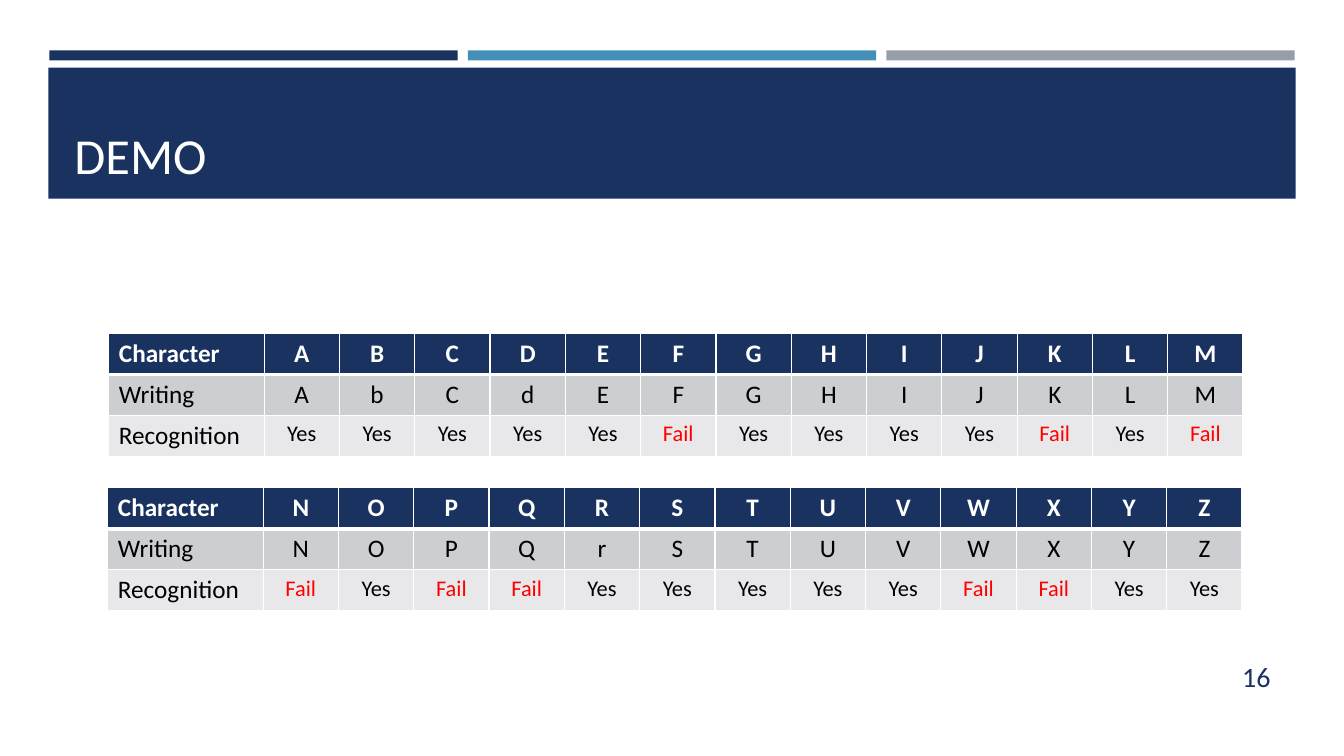
import lxml.etree
import pptx
import pptx.dml.color
import pptx.enum.shapes
import pptx.enum.text
import pptx.oxml.ns
import pptx.util

Inches = pptx.util.Inches
ALIGN = pptx.enum.text.PP_ALIGN
ANCHOR = pptx.enum.text.MSO_ANCHOR
COLORS = {
    "navy": "1A3260", "blue": "4590B8", "gray": "969FA7", "white": "FFFFFF",
    "black": "000000", "fail": "FF0000", "writing": "CDCED2", "recognition": "E8E8EA",
}


def color(name):
    return pptx.dml.color.RGBColor.from_string(COLORS[name])


def write(frame, text, size, color_name, align=ALIGN.LEFT, bold=False):
    para = frame.paragraphs[0]
    para.alignment = align
    span = para.add_run()
    span.text = text
    font_format = {"name": "Calibri", "size": pptx.util.Pt(size), "bold": bold}
    for key, value in font_format.items():
        setattr(span.font, key, value)
    span.font.color.rgb = color(color_name)


def add_bar(page, box, fill):
    bar = page.shapes.add_shape(
        pptx.enum.shapes.MSO_SHAPE.RECTANGLE, *map(Inches, box))
    bar.shadow.inherit = False
    bar.fill.solid()
    bar.fill.fore_color.rgb = color(fill)
    bar.line.fill.background()


def add_label(page, box, text, size, color_name, align, anchor):
    label = page.shapes.add_textbox(*map(Inches, box))
    frame_format = {"word_wrap": True, "vertical_anchor": anchor}
    for key, value in frame_format.items():
        setattr(label.text_frame, key, value)
    write(label.text_frame, text, size, color_name, align)


def add_header(page, box):
    left, top, width, height = box
    # Three accent bars above the title band
    gap, bar_width = 0.1, 4.05
    for index, fill in enumerate(["navy", "blue", "gray"]):
        bar_left = left + 0.01 + index * (bar_width + gap)
        add_bar(page, (bar_left, top, bar_width, 0.1), fill)
    # Title band
    add_bar(page, (left, top + 0.17, width, height - 0.17), "navy")
    add_label(page, (left + 0.16, top + 0.27, width - 0.31, 1.11),
              "DEMO", 36, "white", ALIGN.LEFT, ANCHOR.BOTTOM)


def add_borders(cell, bottom_width):
    properties = cell._tc.get_or_add_tcPr()
    for side, width in {"L": 1, "R": 1, "T": 1, "B": bottom_width}.items():
        line = lxml.etree.SubElement(
            properties, pptx.oxml.ns.qn("a:ln" + side), w=str(pptx.util.Pt(width)))
        fill = lxml.etree.SubElement(line, pptx.oxml.ns.qn("a:solidFill"))
        lxml.etree.SubElement(fill, pptx.oxml.ns.qn("a:srgbClr"), val=COLORS["white"])


def add_results(page, box, characters, writing, failed):
    outcomes = ["Fail" if letter in failed else "Yes" for letter in characters]
    rows = [
        ("Character", characters, "navy", "white"),
        ("Writing", writing, "writing", "black"),
        ("Recognition", outcomes, "recognition", "black"),
    ]
    table = page.shapes.add_table(
        len(rows), len(characters) + 1, *map(Inches, box)).table

    # Wide label column, equal letter columns
    label_width = 1.54
    letter_width = (box[2] - label_width) / len(characters)
    for index, column in enumerate(table.columns):
        column.width = Inches(letter_width if index else label_width)

    for row_index, (label, values, fill, text_color) in enumerate(rows):
        for column_index, text in enumerate([label, *values]):
            cell = table.cell(row_index, column_index)
            add_borders(cell, 1 if row_index else 3)
            cell.fill.solid()
            cell.fill.fore_color.rgb = color(fill)
            write(cell.text_frame, text,
                  16 if text in ("Yes", "Fail") else 18,
                  "fail" if text == "Fail" else text_color,
                  ALIGN.CENTER if column_index else ALIGN.LEFT,
                  bold=row_index == 0)


def main():
    deck = pptx.Presentation()
    deck.slide_width, deck.slide_height = Inches(13.33), Inches(7.5)
    page = deck.slides.add_slide(deck.slide_layouts[6])

    add_header(page, (0.48, 0.5, 12.37, 1.47))
    # Page number
    add_label(page, (11.55, 6.51, 1.15, 0.4), "16", 20, "navy",
              ALIGN.RIGHT, ANCHOR.MIDDLE)
    # Recognition results for each half of the alphabet
    add_results(page, (1.08, 3.31, 11.25, 1.22),
                "ABCDEFGHIJKLM", "AbCdEFGHIJKLM", "FKM")
    add_results(page, (1.07, 4.84, 11.25, 1.22),
                "NOPQRSTUVWXYZ", "NOPQrSTUVWXYZ", "NPQWX")

    deck.save("out.pptx")


if __name__ == "__main__":
    main()
